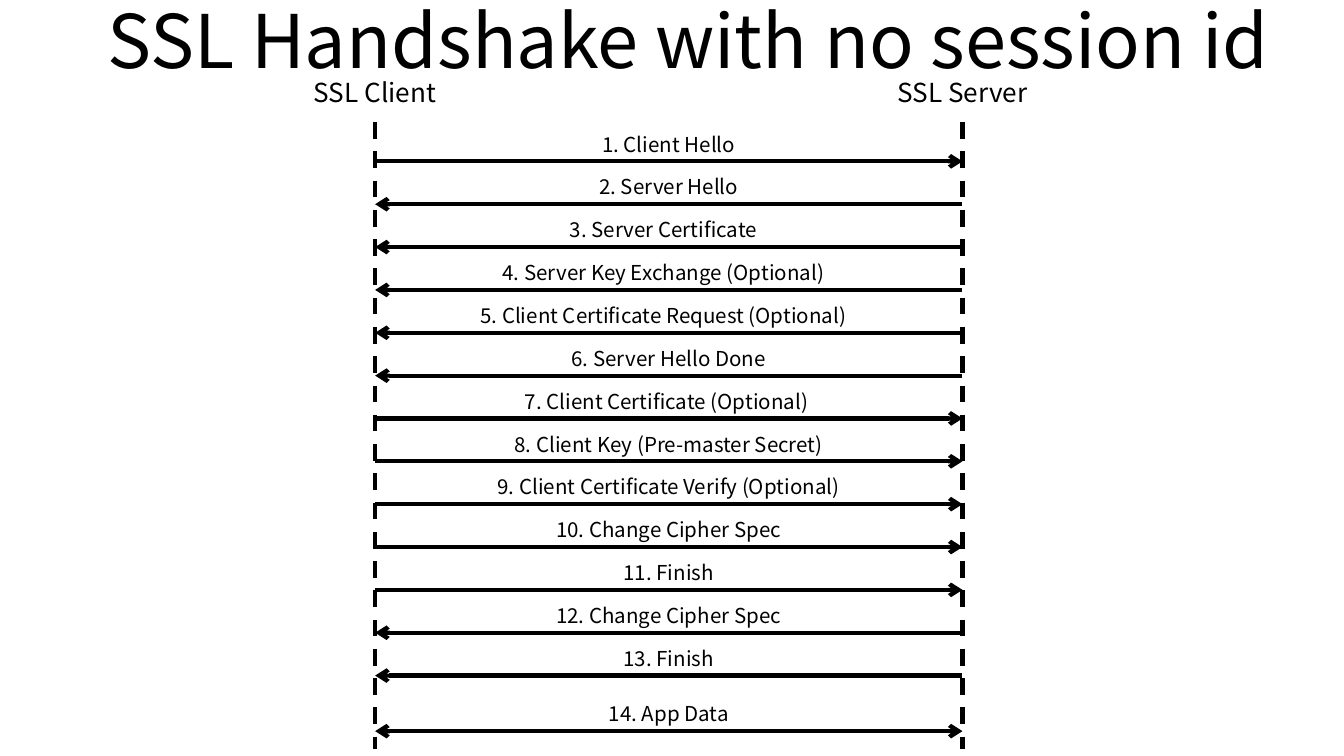
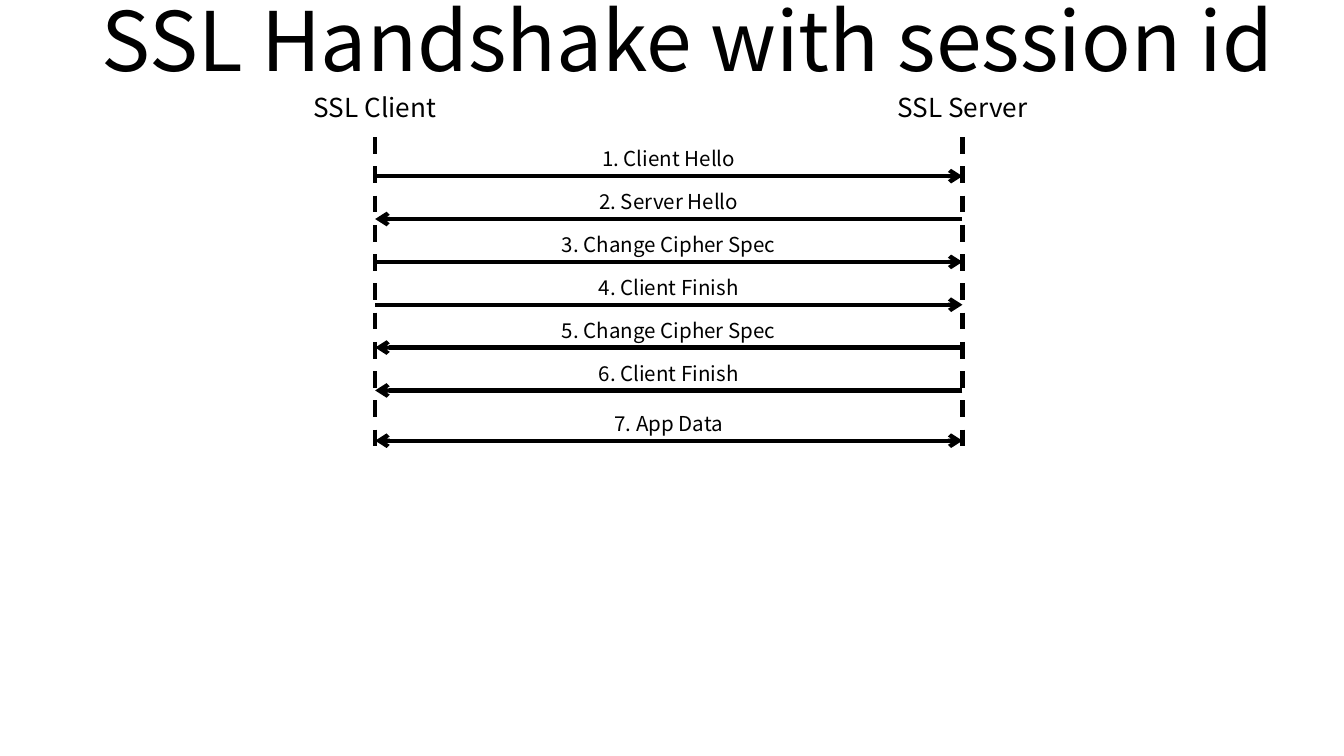
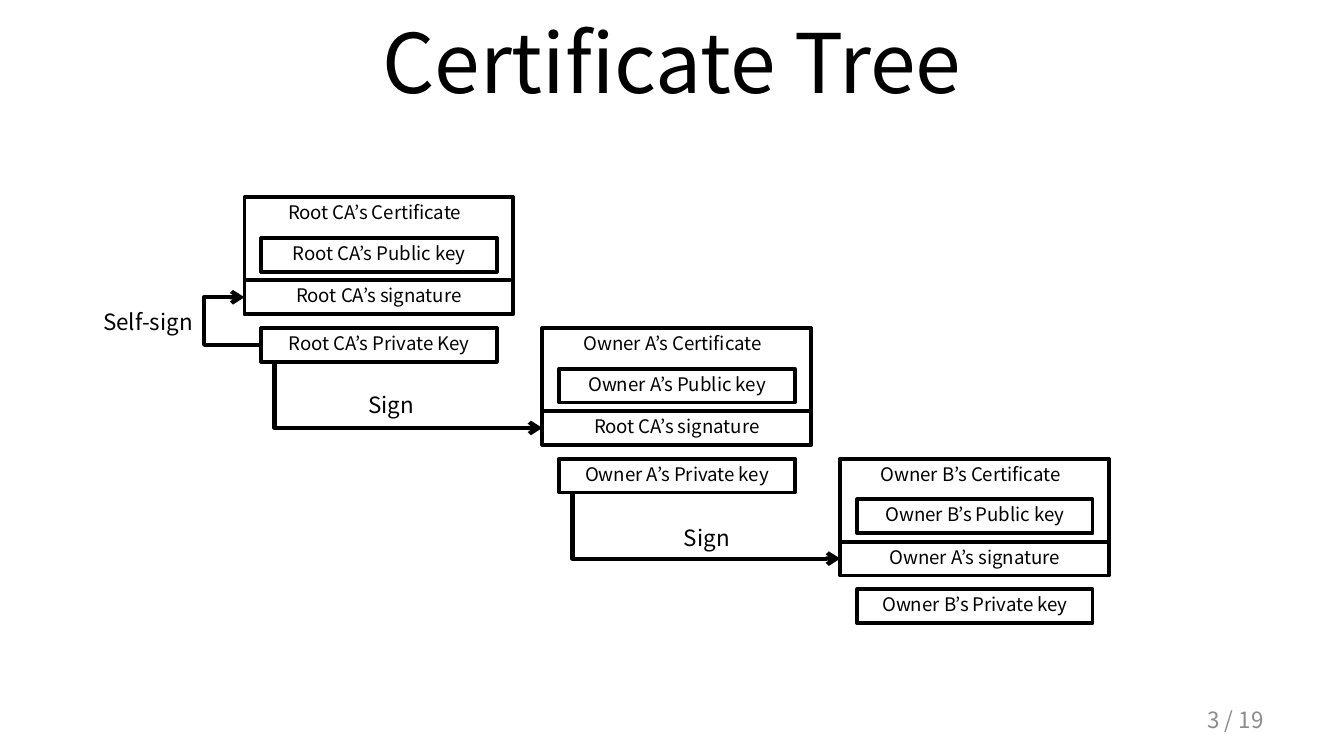
import dataclasses

import pptx
import pptx.dml.color
import pptx.enum.dml
import pptx.enum.shapes
import pptx.enum.text
import pptx.oxml
import pptx.oxml.ns
import pptx.util
from pptx.util import Cm

ALIGN = pptx.enum.text.PP_ALIGN
ANCHOR = pptx.enum.text.MSO_ANCHOR


@dataclasses.dataclass(frozen=True)
class Theme:
    font: str = "Noto Sans CJK KR"
    ink: str = "000000"
    paper: str = "FFFFFF"
    muted: str = "8C8C8C"
    title: float = 44
    long_title: float = 39.6
    actor: float = 14
    note: float = 12
    message: float = 11
    box: float = 10
    arrow_width: float = 2.25
    box_width: float = 2


@dataclasses.dataclass(frozen=True)
class Message:
    text: str
    way: str
    nudge: float = 0


THEME = Theme()

CLIENT_X, SERVER_X = 7.09, 18.19
MESSAGE_STEP = 0.81
LABEL_W, LABEL_H = 8.86, 0.66
ACTORS = [("SSL Client", CLIENT_X, 4.01), ("SSL Server", SERVER_X, 4.62)]

CERT_LEFT, CERT_TOP = 4.62, 3.73
CERT_STEP_X, CERT_STEP_Y = 5.63, 2.47
CERT_W, CERT_H = 5.08, 1.57
ROW_H = 0.64
KEY_INSET, KEY_W = 0.32, 4.45

FULL_HANDSHAKE = [
    Message("1. Client Hello", "right"),
    Message("2. Server Hello", "left"),
    Message("3. Server Certificate", "left", -0.1),
    Message("4. Server Key Exchange (Optional)", "left", -0.1),
    Message("5. Client Certificate Request (Optional)", "left", -0.1),
    Message("6. Server Hello Done", "left"),
    Message("7. Client Certificate (Optional)", "right", -0.04),
    Message("8. Client Key (Pre-master Secret)", "right"),
    Message("9. Client Certificate Verify (Optional)", "right"),
    Message("10. Change Cipher Spec", "right"),
    Message("11. Finish", "right"),
    Message("12. Change Cipher Spec", "left"),
    Message("13. Finish", "left"),
    Message("14. App Data", "both"),
]

SHORT_HANDSHAKE = [
    Message("1. Client Hello", "right"),
    Message("2. Server Hello", "left"),
    Message("3. Change Cipher Spec", "right"),
    Message("4. Client Finish", "right"),
    Message("5. Change Cipher Spec", "left"),
    Message("6. Client Finish", "left"),
    Message("7. App Data", "both"),
]

CERTIFICATES = [
    ("Root CA’s", "Root CA’s", "Key"),
    ("Owner A’s", "Root CA’s", "key"),
    ("Owner B’s", "Owner A’s", "key"),
]


def rgb(color):
    return pptx.dml.color.RGBColor.from_string(color)


def write(sp, text, size, align=ALIGN.CENTER, anchor=ANCHOR.MIDDLE,
          color=THEME.ink, insets=(0, 0, 0)):
    tf = sp.text_frame
    tf.text = text
    tf.word_wrap = True
    tf.vertical_anchor = anchor
    tf.margin_left, tf.margin_top, tf.margin_right = map(Cm, insets)
    tf.margin_bottom = 0
    p = tf.paragraphs[0]
    p.alignment = align
    font = p.runs[0].font
    font.name = THEME.font
    font.size = pptx.util.Pt(size)
    font.color.rgb = rgb(color)


def add_text(s, text, x, y, w, h, size, **style):
    sp = s.shapes.add_textbox(Cm(x), Cm(y), Cm(w), Cm(h))
    write(sp, text, size, **style)


def add_title(s, text, x, y, size=THEME.title):
    add_text(s, text, x, y, 22.86, 2.39, size)


def style_line(sp, width):
    sp.line.color.rgb = rgb(THEME.ink)
    sp.line.width = pptx.util.Pt(width)


def add_arrowheads(sp, *ends):
    ln = sp.element.spPr.find(pptx.oxml.ns.qn("a:ln"))
    for end in ends:
        ln.append(pptx.oxml.parse_xml(
            f'<a:{end} {pptx.oxml.ns.nsdecls("a")} type="arrow"/>'))


def add_line(s, x1, y1, x2, y2, ends=(), dashed=False):
    sp = s.shapes.add_connector(
        pptx.enum.shapes.MSO_CONNECTOR.STRAIGHT, Cm(x1), Cm(y1), Cm(x2), Cm(y2))
    style_line(sp, THEME.arrow_width)
    if dashed:
        sp.line.dash_style = pptx.enum.dml.MSO_LINE.DASH
    add_arrowheads(sp, *ends)
    sp.element.spPr.append(pptx.oxml.parse_xml(
        f'<a:effectLst {pptx.oxml.ns.nsdecls("a")}/>'))


def add_elbow(s, *points):
    start, *rest = [(Cm(x), Cm(y)) for x, y in points]
    builder = s.shapes.build_freeform(*start)
    builder.add_line_segments(rest, close=False)
    sp = builder.convert_to_shape()
    sp.shadow.inherit = False
    sp.fill.background()
    style_line(sp, THEME.arrow_width)
    add_arrowheads(sp, "tailEnd")


def add_box(s, text, x, y, w, h, right_inset=0):
    sp = s.shapes.add_shape(
        pptx.enum.shapes.MSO_SHAPE.RECTANGLE, Cm(x), Cm(y), Cm(w), Cm(h))
    sp.shadow.inherit = False
    sp.fill.solid()
    sp.fill.fore_color.rgb = rgb(THEME.paper)
    style_line(sp, THEME.box_width)
    write(sp, text, THEME.box, anchor=ANCHOR.TOP, insets=(0, 0.07, right_inset))


def add_message(s, message, y):
    start, end = CLIENT_X, SERVER_X
    if message.way == "left":
        start, end = end, start
    ends = ("headEnd", "tailEnd") if message.way == "both" else ("tailEnd",)
    add_line(s, start, y, end, y, ends)
    x = (CLIENT_X + SERVER_X - LABEL_W) / 2 + message.nudge
    add_text(s, message.text, x, y - LABEL_H, LABEL_W, LABEL_H, THEME.message)


def add_sequence(s, messages, top, bottom, last_y):
    for name, x, w in ACTORS:
        add_line(s, x, top + 0.96, x, bottom, dashed=True)
        add_text(s, name, x - w / 2, top, w, 0.79, THEME.actor)
    *steps, last = messages
    for i, message in enumerate(steps):
        add_message(s, message, top + 1.7 + i * MESSAGE_STEP)
    add_message(s, last, last_y)


def add_certificate(s, owner, signer, key_word, x, y):
    key_x = x + KEY_INSET
    add_box(s, f"{owner} Certificate", x, y, CERT_W, CERT_H, right_inset=0.16)
    add_box(s, f"{owner} Public key", key_x, y + 0.77, KEY_W, ROW_H)
    add_box(s, f"{signer} signature", x, y + CERT_H, CERT_W, ROW_H)
    add_box(s, f"{owner} Private {key_word}", key_x, y + CERT_STEP_Y, KEY_W, ROW_H)


def add_certificate_tree(s):
    signature_mid = CERT_H + ROW_H / 2
    for i, (owner, signer, key_word) in enumerate(CERTIFICATES):
        x, y = CERT_LEFT + i * CERT_STEP_X, CERT_TOP + i * CERT_STEP_Y
        add_certificate(s, owner, signer, key_word, x, y)
        if i:
            stem_x = x - CERT_STEP_X + KEY_INSET + 0.25
            add_elbow(s, (stem_x, y + ROW_H), (stem_x, y + signature_mid),
                      (x, y + signature_mid))

    loop_x = CERT_LEFT - 0.76
    key_y = CERT_TOP + CERT_STEP_Y + ROW_H / 2
    signature_y = CERT_TOP + signature_mid
    add_elbow(s, (CERT_LEFT + KEY_INSET, key_y), (loop_x, key_y),
              (loop_x, signature_y), (CERT_LEFT, signature_y))

    for text, x, y in [("Self-sign", 1.3, 5.69), ("Sign", 5.89, 7.26),
                       ("Sign", 11.86, 9.78)]:
        add_text(s, text, x, y, 3, 0.76, THEME.note)


def main():
    prs = pptx.Presentation()
    prs.slide_width, prs.slide_height = Cm(25.4), Cm(14.29)
    blank = prs.slide_layouts[6]

    s = prs.slides.add_slide(blank)
    add_title(s, "SSL Handshake with no session id", 1.57, -0.46, THEME.long_title)
    add_sequence(s, FULL_HANDSHAKE, top=1.35, bottom=14.15, last_y=13.82)

    s = prs.slides.add_slide(blank)
    add_title(s, "SSL Handshake with session id", 1.57, -0.46)
    add_sequence(s, SHORT_HANDSHAKE, top=1.63, bottom=8.53, last_y=8.33)

    s = prs.slides.add_slide(blank)
    add_title(s, "Certificate Tree", 1.27, -0.05)
    add_certificate_tree(s)
    add_text(s, "3 / 19", 18.21, 13.23, 5.92, 0.76, THEME.note,
             align=ALIGN.RIGHT, color=THEME.muted, insets=(0.25, 0, 0.25))

    prs.save("out.pptx")


if __name__ == "__main__":
    main()
